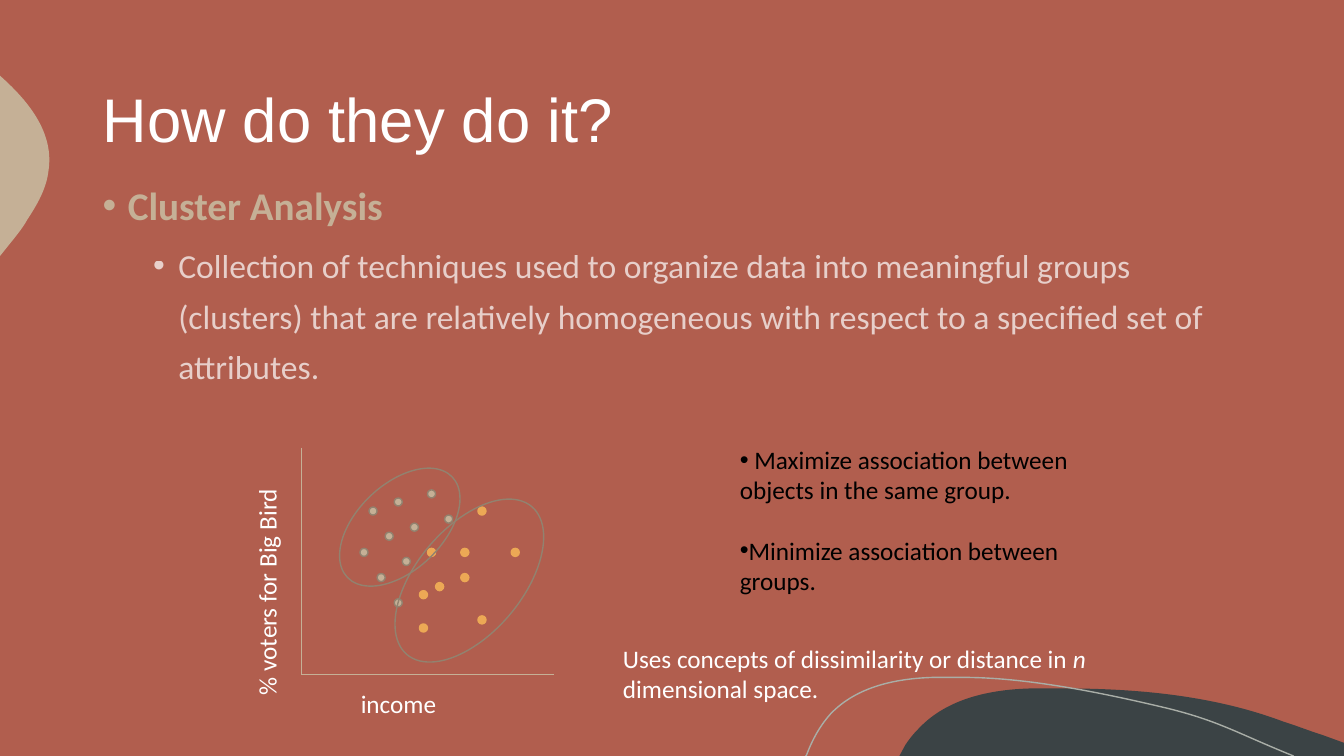
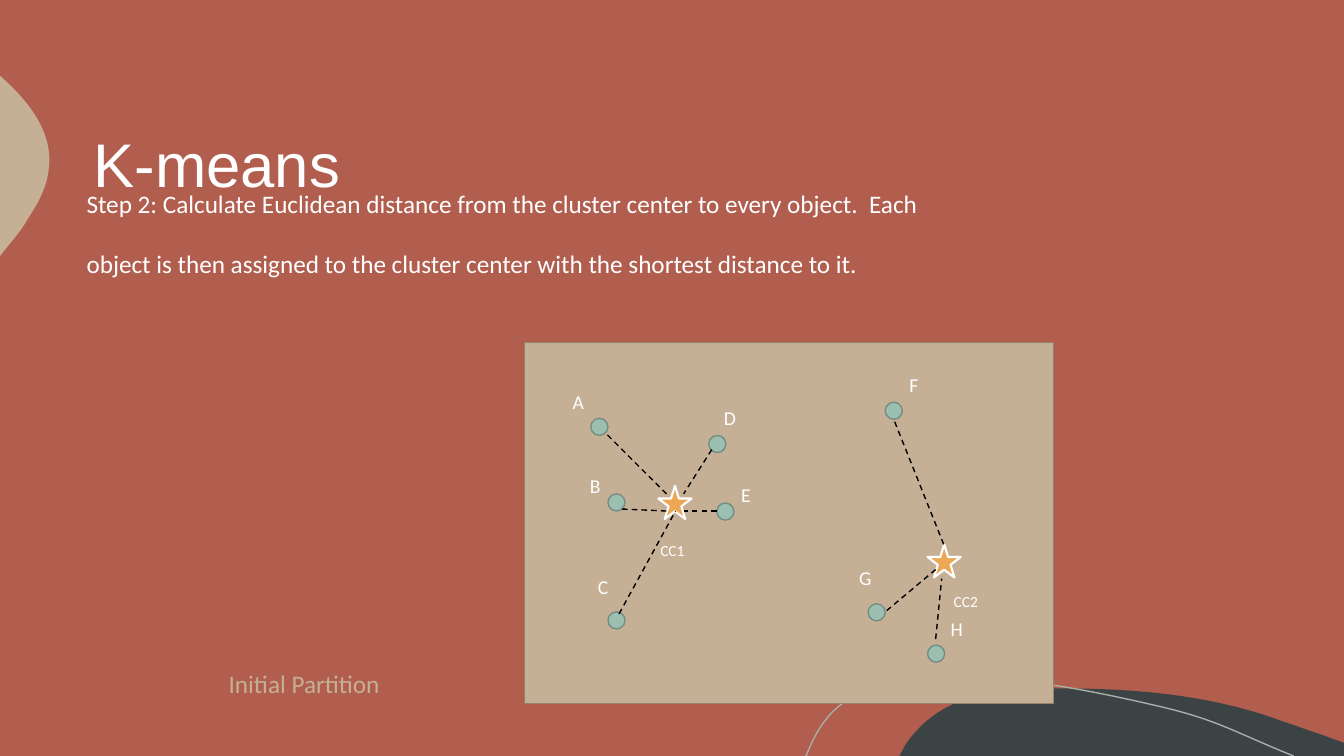
from lxml import etree
from pptx import Presentation
from pptx.dml.color import RGBColor
from pptx.enum.dml import MSO_LINE
from pptx.enum.shapes import MSO_CONNECTOR, MSO_SHAPE
from pptx.enum.text import MSO_ANCHOR
from pptx.oxml.ns import qn
from pptx.util import Pt

PX = 9144
SLIDE_W, SLIDE_H = 1333, 750
BLANK = 6
RECT, OVAL, STAR = MSO_SHAPE.RECTANGLE, MSO_SHAPE.OVAL, MSO_SHAPE.STAR_5_POINT
STRAIGHT, DASH = MSO_CONNECTOR.STRAIGHT, MSO_LINE.DASH
TOP, MIDDLE = MSO_ANCHOR.TOP, MSO_ANCHOR.MIDDLE


class Theme:
    brick, tan, taupe = "B15E4E", "C5B096", "92826F"
    slate, mist, amber = "3B4345", "A9AEA7", "ECA855"
    sage, sage_edge = "9BBFB0", "738D82"
    white, black = "FFFFFF", "000000"
    title_font, body_font = "Arial", "Calibri"
    title, heading, detail, text, label, small = 44, 28, 24, 18, 14, 11
    hairline, thin, bold = 0.5, 1, 1.5
    blank_line = 21.5


T = Theme

DARK_HILL = [
    (1054, 683), (1128, 683, 1204, 690, 1273, 716), (1286, 720, 1298, 725, 1311, 729),
    (1333, 737), (1333, 750), (892, 750), (898, 739), (902, 733, 906, 728, 911, 723),
    (939, 693, 982, 684, 1023, 683), (1033, 683, 1043, 683, 1054, 683),
]
TAN_BUMP = [
    (0, 75), (1, 76), (30, 102, 54, 133, 48, 170), (46, 187, 37, 203, 27, 218),
    (24, 224, 17, 233, 8, 244), (0, 254),
]
HILL_LINE = [
    (799, 750), (800, 749), (806, 733, 814, 719, 824, 708), (850, 681, 889, 673, 926, 672),
    (955, 672), (1022, 672, 1100, 689, 1155, 702), (1209, 715, 1226, 727, 1283, 750),
]
DECORATIONS = [(DARK_HILL, T.slate, None), (TAN_BUMP, T.tan, None), (HILL_LINE, None, T.mist)]

SCATTER = [
    (T.tan, T.taupe, [(382, 528), (407, 519), (399, 553), (374, 569), (357, 544),
                      (391, 494), (366, 503), (441, 511), (424, 486), (391, 594)]),
    (T.amber, T.amber, [(424, 544), (457, 544), (416, 586), (432, 578), (457, 569),
                        (416, 619), (507, 544), (474, 503), (474, 611)]),
]
SCATTER_DOT = 8
CLUSTERS = [((413, 480, 105, 192), 40.1), ((354, 451, 85, 144), 46.2)]
AXES = [(299, 444, 299, 669), (549, 669, 299, 669)]

CLUSTER_BODY = [
    dict(runs=["Cluster Analysis"], size=T.heading, color=T.tan, bold=True,
         bullet=(25, -25), line_spacing=1.25),
    dict(runs=["Collection of techniques used to organize data into meaningful groups "
               "(clusters) that are relatively homogeneous with respect to a specified "
               "set of attributes."],
         size=T.detail, alpha=70, bullet=(75, -25), level=1, line_spacing=1.25,
         space_before=Pt(5)),
]
CLUSTER_GOALS = [
    dict(runs=[" Maximize association between objects in the same group."],
         color=T.black, bullet=(0, 0)),
    dict(runs=["Minimize association between groups."],
         color=T.black, bullet=(0, 0), space_before=Pt(T.blank_line)),
]
DISTANCE_NOTE = [dict(runs=["Uses concepts of dissimilarity or distance in ", ("n", True),
                            " dimensional space."])]

STEP_TEXT = [
    dict(runs=["Step 2: Calculate Euclidean distance from the cluster center to every "
               "object.  Each"]),
    dict(runs=["object is then assigned to the cluster center with the shortest "
               "distance to it."], space_before=Pt(T.blank_line)),
]
PANEL = (520, 340, 525, 358)
OBJECTS = [
    ("A", (586, 415), (561, 382)), ("B", (603, 490), (578, 465)),
    ("C", (603, 607), (586, 565)), ("D", (703, 432), (711, 398)),
    ("E", (711, 499), (728, 474)), ("F", (878, 399), (895, 365)),
    ("G", (861, 599), (845, 557)), ("H", (920, 640), (936, 607)),
]
OBJECT_DOT, LABEL_INDENT = 17, 7
CENTERS = [("CC1", (653, 482), (645, 532)), ("CC2", (920, 540), (936, 582))]
CENTER_STAR = 33
DISTANCES = [
    (661, 490, 601, 430), (706, 446, 678, 490), (711, 507, 678, 507), (614, 609, 670, 507),
    (661, 507, 617, 505), (936, 540, 886, 415), (928, 565, 878, 607), (928, 634, 934, 574),
]


def emu(values):
    return [round(v * PX) for v in values]


def assign(obj, **values):
    for name, value in values.items():
        setattr(obj, name, value)


def paint(sp, fill=None, line=None, width=T.thin):
    sp.shadow.inherit = False
    for part, color in ((sp.fill, fill), (sp.line.fill, line)):
        if color:
            part.solid()
            part.fore_color.rgb = RGBColor.from_string(color)
        else:
            part.background()
    if line:
        sp.line.width = Pt(width)


def add_preset(s, kind, box, rotation=0, **look):
    sp = s.shapes.add_shape(kind, *emu(box))
    sp.rotation = rotation
    paint(sp, **look)


def add_line(s, ends, color, width, dash=None):
    sp = s.shapes.add_connector(STRAIGHT, *emu(ends))
    assign(sp.line, width=Pt(width), dash_style=dash)
    sp.line.color.rgb = RGBColor.from_string(color)
    etree.SubElement(sp._element.spPr, qn("a:effectLst"))


def bend(step, controls, left, top):
    step.tag = qn("a:cubicBezTo")
    for i in (2, 0):
        x, y = emu(controls[i:i + 2])
        pt = etree.Element(qn("a:pt"), x=str(x - left), y=str(y - top))
        step.insert(0, pt)


def add_outline(s, outline, fill, line):
    ends = [emu(segment[-2:]) for segment in outline]
    builder = s.shapes.build_freeform(*ends[0], scale=1.0)
    builder.add_line_segments(ends[1:], close=fill is not None)
    sp = builder.convert_to_shape()
    steps = list(sp._element.find(".//" + qn("a:path")))
    for step, segment in zip(steps, outline):
        if len(segment) > 2:
            bend(step, segment, sp.left, sp.top)
    paint(sp, fill, line)


def add_bullet(p, margin, indent):
    pPr = p._p.get_or_add_pPr()
    pPr.set("marL", str(margin * PX))
    pPr.set("indent", str(indent * PX))
    etree.SubElement(pPr, qn("a:buFont"), typeface="Arial")
    etree.SubElement(pPr, qn("a:buChar"), char="•")


def add_run(p, text, italic, size, color, font, bold, alpha):
    r = p.add_run()
    r.text = text
    assign(r.font, size=Pt(size), name=font, bold=bold, italic=italic)
    r.font.color.rgb = RGBColor.from_string(color)
    if alpha:
        clr = r._r.find(".//" + qn("a:srgbClr"))
        etree.SubElement(clr, qn("a:alpha"), val=str(alpha * 1000))


def write_paragraph(p, runs, size=T.text, color=T.white, font=T.body_font, bold=False,
                    alpha=None, bullet=None, **layout):
    assign(p, **layout)
    if bullet:
        add_bullet(p, *bullet)
    for run in runs:
        text, italic = (run, False) if isinstance(run, str) else run
        add_run(p, text, italic, size, color, font, bold, alpha)


def add_text(s, box, paragraphs, anchor=TOP, rotation=0, **frame):
    sp = s.shapes.add_textbox(*emu(box))
    sp.rotation = rotation
    tf = sp.text_frame
    assign(tf, word_wrap=True, vertical_anchor=anchor, **frame)
    for i, paragraph in enumerate(paragraphs):
        write_paragraph(tf.add_paragraph() if i else tf.paragraphs[0], **paragraph)


def add_slide(prs, title, left, top):
    s = prs.slides.add_slide(prs.slide_layouts[BLANK])
    for decoration in DECORATIONS:
        add_outline(s, *decoration)
    add_text(s, (left, top, 1167, 167),
             [dict(runs=[title], size=T.title, font=T.title_font, line_spacing=0.9)], MIDDLE)
    return s


def build_cluster_slide(prs):
    s = add_slide(prs, "How do they do it?", 92, 38)
    add_text(s, (92, 163, 1167, 418), CLUSTER_BODY)
    for fill, line, dots in SCATTER:
        for dot in dots:
            add_preset(s, OVAL, (*dot, SCATTER_DOT, SCATTER_DOT), fill=fill, line=line)
    for box, angle in CLUSTERS:
        add_preset(s, OVAL, box, angle, line=T.taupe)
    add_text(s, (724, 436, 400, 162), CLUSTER_GOALS)
    add_text(s, (608, 633, 508, 71), DISTANCE_NOTE)
    for axis in AXES:
        add_line(s, axis, T.tan, T.hairline)
    add_text(s, (348, 678, 133, 40), [dict(runs=["income"])])
    add_text(s, (122, 537, 285, 40), [dict(runs=["% voters for Big Bird"])], rotation=270)


def build_kmeans_slide(prs):
    s = add_slide(prs, "K-means", 83, 83)
    add_preset(s, RECT, PANEL, fill=T.tan, line=T.taupe)
    for _, dot, _ in OBJECTS:
        add_preset(s, OVAL, (*dot, OBJECT_DOT, OBJECT_DOT), fill=T.sage, line=T.sage_edge)
    add_text(s, (76, 182, 942, 131), STEP_TEXT)
    for name, star, (x, y) in CENTERS:
        add_preset(s, STAR, (*star, CENTER_STAR, CENTER_STAR),
                   fill=T.amber, line=T.white, width=T.bold)
        add_text(s, (x, y, 58, 29), [dict(runs=[name], size=T.small)])
    for ends in DISTANCES:
        add_line(s, ends, T.black, T.thin, DASH)
    for name, _, (x, y) in OBJECTS:
        add_text(s, (x + LABEL_INDENT, y, 17, 34), [dict(runs=[name], size=T.label)],
                 margin_left=0, margin_right=0)
    add_text(s, (217, 658, 200, 40), [dict(runs=["Initial Partition"], color=T.tan)])


def main():
    prs = Presentation()
    prs.slide_width, prs.slide_height = emu((SLIDE_W, SLIDE_H))
    fill = prs.slide_master.background.fill
    fill.solid()
    fill.fore_color.rgb = RGBColor.from_string(T.brick)
    build_cluster_slide(prs)
    build_kmeans_slide(prs)
    prs.save("out.pptx")


if __name__ == "__main__":
    main()
